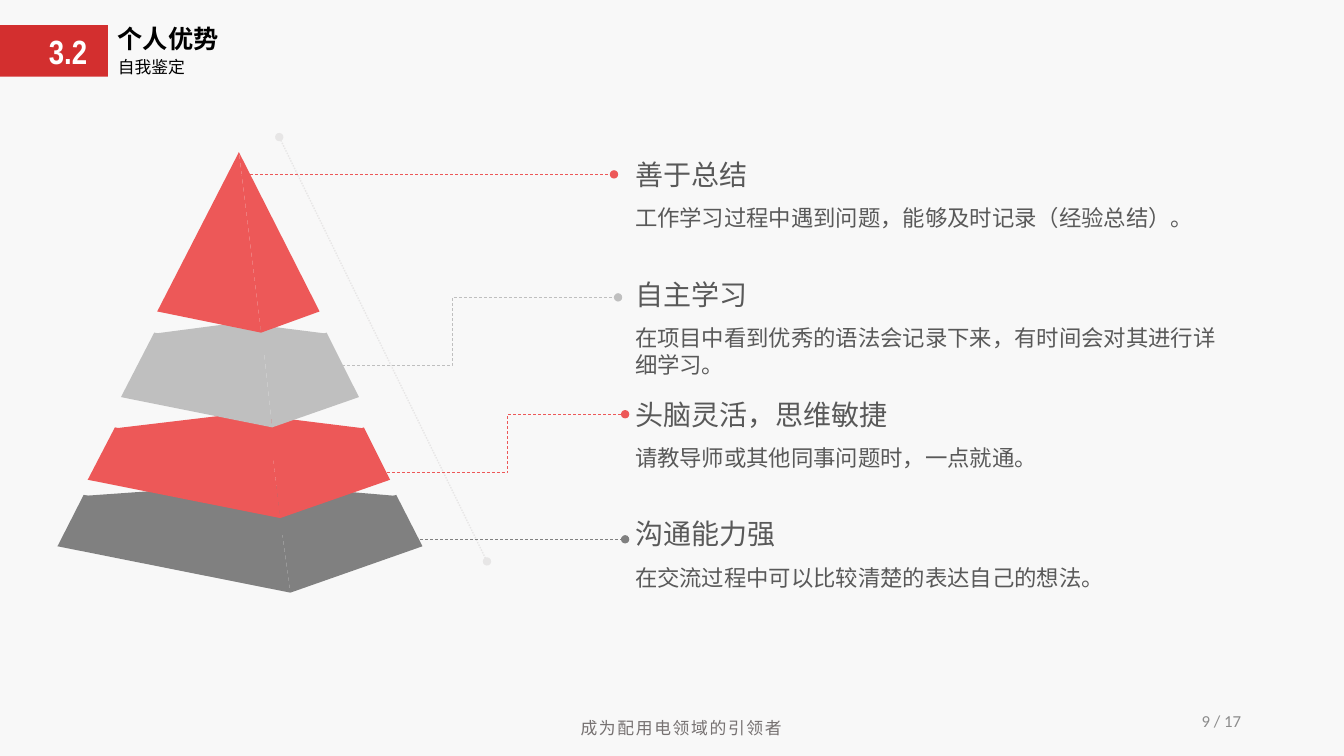
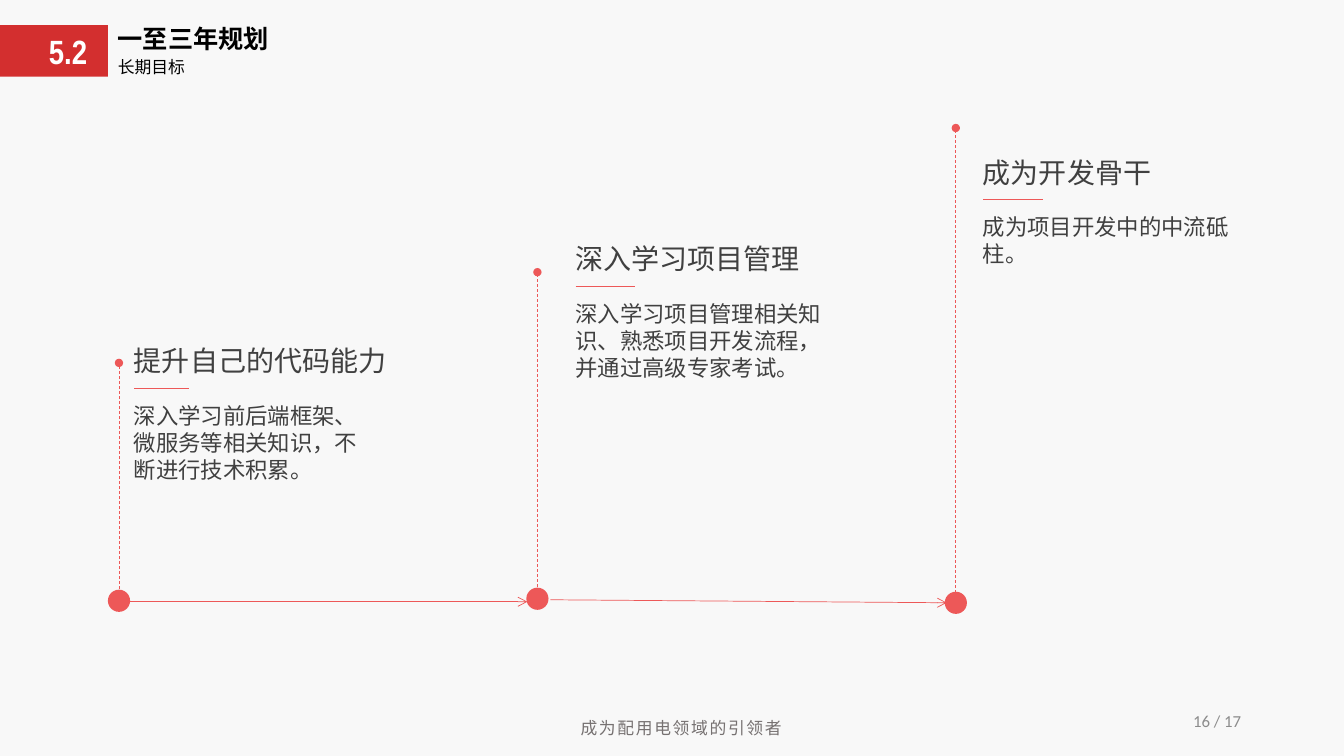
"""Build two résumé slides: a pyramid of strengths and a staged career plan."""
from dataclasses import dataclass

from lxml.etree import SubElement
from pptx import Presentation
from pptx.dml.color import RGBColor
from pptx.enum.dml import MSO_LINE
from pptx.enum.shapes import MSO_CONNECTOR, MSO_SHAPE
from pptx.enum.text import MSO_ANCHOR, MSO_AUTO_SIZE, PP_ALIGN
from pptx.oxml.ns import qn
from pptx.util import Pt

PX = 9144


@dataclass(frozen=True)
class Theme:
    background: str = "F8F8F8"
    banner: str = "D32F2F"
    accent: str = "ED5858"
    silver: str = "BFBFBF"
    grey: str = "808080"
    pale: str = "E7E6E6"
    black: str = "000000"
    white: str = "FFFFFF"
    label: str = "595959"
    ink: str = "404040"
    footer: str = "767171"
    page: str = "8C8C8C"
    font: str = "Noto Sans CJK SC"
    number_font: str = "Arial Narrow"
    page_font: str = "Calibri"
    small: int = 12
    body: int = 16
    title: int = 18
    heading: int = 20
    number: int = 24


THEME = Theme()


class Deck:
    def __init__(self):
        self.presentation = Presentation()
        self.presentation.slide_width = 1333 * PX
        self.presentation.slide_height = 750 * PX
        fill = self.presentation.slide_master.background.fill
        fill.solid()
        fill.fore_color.rgb = RGBColor.from_string(THEME.background)
        self.slide = None

    def add_slide(self, number, title, subtitle, page):
        self.slide = self.presentation.slides.add_slide(self.presentation.slide_layouts[6])
        self.text("成为配用电领域的引领者", 566, 707, 250, 30, size=THEME.small,
                  color=THEME.footer, spacing=120)
        self.shape(MSO_SHAPE.RECTANGLE, 0, 25, 107, 51, THEME.banner)
        self.text(subtitle, 107, 51, 276, 30, size=THEME.small, color=THEME.black)
        self.text(title, 107, 18, 516, 40, size=THEME.title, color=THEME.black, bold=True)
        self.text(number, 28, 26, 79, 50, size=THEME.number, color=THEME.white, bold=True,
                  font=THEME.number_font, align=PP_ALIGN.CENTER)
        self.text(f"{page} / 17", 941, 695, 300, 40, size=THEME.small, color=THEME.page,
                  font=THEME.page_font, align=PP_ALIGN.RIGHT, anchor=MSO_ANCHOR.MIDDLE,
                  auto_size=MSO_AUTO_SIZE.NONE)

    def text(self, text, left, top, width, height, *, size, color, font=THEME.font,
             bold=False, align=PP_ALIGN.LEFT, anchor=MSO_ANCHOR.TOP, spacing=None,
             auto_size=MSO_AUTO_SIZE.SHAPE_TO_FIT_TEXT):
        box = self.slide.shapes.add_textbox(left * PX, top * PX, width * PX, height * PX)
        frame = box.text_frame
        frame.word_wrap = True
        frame.auto_size = auto_size
        frame.vertical_anchor = anchor
        paragraph = frame.paragraphs[0]
        paragraph.alignment = align
        run = paragraph.add_run()
        run.text = text
        run.font.size = Pt(size)
        run.font.bold = bold
        run.font.color.rgb = RGBColor.from_string(color)
        run.font.name = font
        properties = run.font._element
        SubElement(properties, qn("a:ea")).set("typeface", font)
        if spacing:
            properties.set("spc", str(spacing))

    def paint(self, shape, color):
        shape.shadow.inherit = False
        shape.fill.solid()
        shape.fill.fore_color.rgb = RGBColor.from_string(color)
        shape.line.fill.background()

    def shape(self, kind, left, top, width, height, color):
        self.paint(self.slide.shapes.add_shape(
            kind, left * PX, top * PX, width * PX, height * PX), color)

    def polygon(self, color, *points):
        builder = self.slide.shapes.build_freeform(*points[0], scale=PX)
        builder.add_line_segments(points[1:], close=True)
        self.paint(builder.convert_to_shape(), color)

    def line(self, start, end, color, *, width=0.5, dash=None, head=None, tail=None, bend=None):
        kind = MSO_CONNECTOR.ELBOW if bend else MSO_CONNECTOR.STRAIGHT
        connector = self.slide.shapes.add_connector(
            kind, *(length * PX for length in (*start, *end)))
        connector.line.color.rgb = RGBColor.from_string(color)
        connector.line.width = Pt(width)
        if dash:
            connector.line.dash_style = dash
        properties = connector._element.spPr
        outline = properties.find(qn("a:ln"))
        for tag, style in (("a:headEnd", head), ("a:tailEnd", tail)):
            if style:
                SubElement(outline, qn(tag)).set("type", style)
        SubElement(properties, qn("a:effectLst"))
        if bend:
            guides = properties.find(qn("a:prstGeom")).get_or_add_avLst()
            guide = SubElement(guides, qn("a:gd"))
            guide.set("name", "adj1")
            guide.set("fmla", f"val {bend * 1000}")

    def leader(self, start, end, color, bend=None):
        self.line(start, end, color, dash=MSO_LINE.DASH, tail="oval", bend=bend)

    def tier(self, color, back, top, bottom):
        left, front, right = top
        low_left, low_front, low_right = bottom
        self.polygon(color, left, front, low_front, low_left)
        self.polygon(color, front, right, low_right, low_front)
        self.polygon(color, back, *((x, y + 1) for x, y in top))


def add_strengths(deck):
    deck.add_slide("3.2", "个人优势", "自我鉴定", 9)
    tiers = [
        (THEME.grey, (252, 480), [(83, 491), (280, 530), (393, 491)],
         [(57, 542), (288, 588), (419, 542)]),
        (THEME.accent, (240, 410), [(114, 424), (271, 456), (361, 424)],
         [(87, 476), (278, 514), (387, 476)]),
        (THEME.silver, (237, 320), [(153, 330), (262, 351), (324, 330)],
         [(120, 394), (270, 424), (356, 394)]),
    ]
    for tier in tiers:
        deck.tier(*tier)
    apex, tip_front = (237, 151), (259, 330)
    for corner in ((156, 309), (317, 309)):
        deck.polygon(THEME.accent, apex, tip_front, corner)
    deck.line((277, 136), (483, 557), THEME.pale, width=1, dash=MSO_LINE.ROUND_DOT,
              head="oval", tail="oval")

    strengths = [
        ("善于总结", "工作学习过程中遇到问题，能够及时记录（经验总结）。", 37,
         (238, 173), (609, 173), THEME.accent, None),
        ("自主学习", "在项目中看到优秀的语法会记录下来，有时间会对其进行详细学习。", 64,
         (285, 363), (613, 295), THEME.silver, 50),
        ("头脑灵活，思维敏捷", "请教导师或其他同事问题时，一点就通。", 37,
         (329, 469), (620, 411), THEME.accent, 60),
        ("沟通能力强", "在交流过程中可以比较清楚的表达自己的想法。", 37,
         (248, 535), (620, 535), THEME.grey, None),
    ]
    for row, (heading, detail, height, start, end, color, bend) in enumerate(strengths):
        top = 151 + 119 * row
        deck.text(heading, 620, top, 319, 44, size=THEME.heading, color=THEME.label)
        deck.text(detail, 620, top + 47, 600, height, size=THEME.body, color=THEME.label)
        deck.leader(start, end, color, bend)


def add_plan(deck):
    deck.add_slide("5.2", "一至三年规划", "长期目标", 16)
    stages = [
        ("提升自己的代码能力", "深入学习前后端框架、微服务等相关知识，不断进行技术积累。",
         123, 336, 256, 91, 54, 585, (594, 360)),
        ("深入学习项目管理", "深入学习项目管理相关知识、熟悉项目开发流程，并通过高级专家考试。",
         561, 235, 279, 91, 59, 583, (597, 270)),
        ("成为开发骨干", "成为项目开发中的中流砥柱。",
         965, 149, 278, 64, 59, 587, (593, 127)),
    ]
    for column, stage in enumerate(stages):
        heading, detail, left, top, width, height, rule, dot_top, (low, high) = stage
        center = 118 + 415 * column
        deck.leader((center, low), (center, high), THEME.accent)
        deck.shape(MSO_SHAPE.OVAL, center - 11, dot_top, 22, 22, THEME.accent)
        deck.text(heading, left, top, 278, 44, size=THEME.heading, color=THEME.ink)
        deck.line((left + 10, top + 49), (left + 10 + rule, top + 49), THEME.accent)
        deck.text(detail, left, top + 58, width, height, size=THEME.body, color=THEME.ink)
    for start, end in (((107, 597), (523, 597)), ((546, 595), (939, 598))):
        deck.line(start, end, THEME.accent, tail="arrow")


def main():
    deck = Deck()
    add_strengths(deck)
    add_plan(deck)
    deck.presentation.save("out.pptx")


if __name__ == "__main__":
    main()
